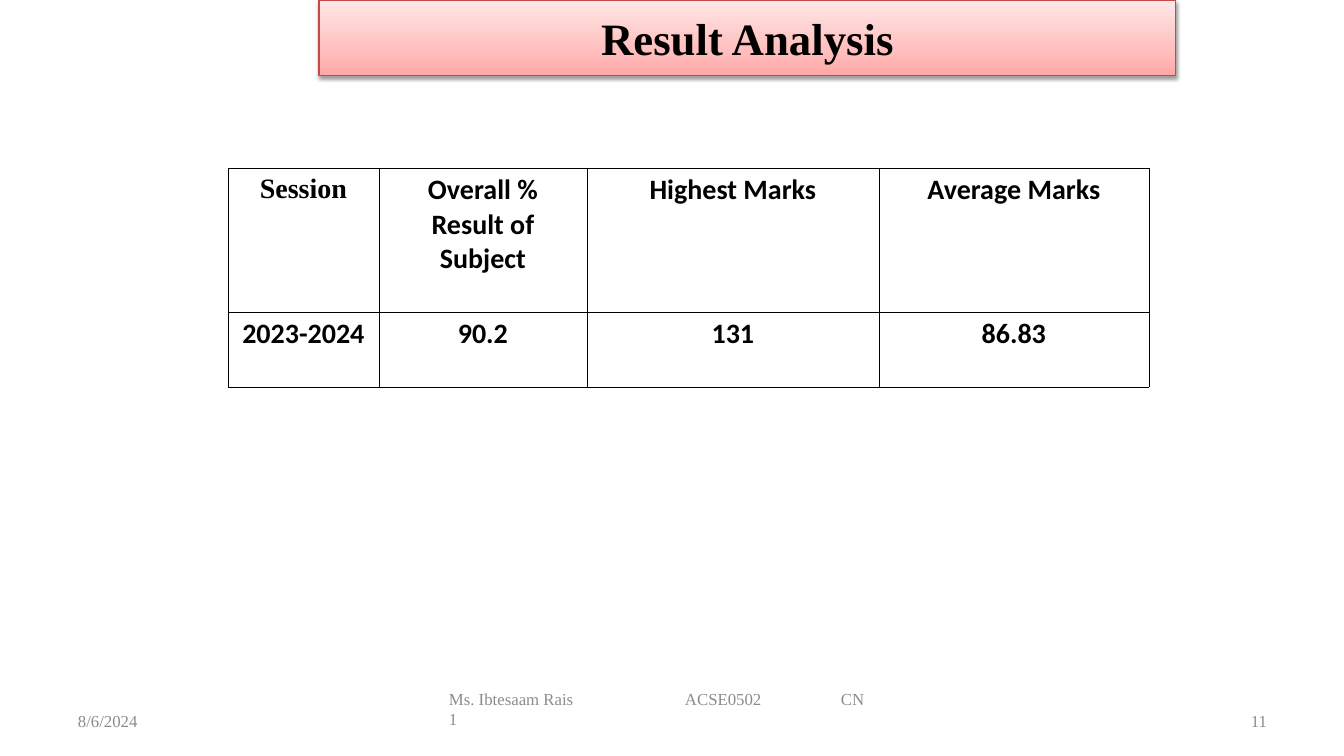
"""Build the result analysis slide."""
from lxml import etree
from pptx import Presentation
from pptx.dml.color import RGBColor
from pptx.enum.shapes import MSO_SHAPE
from pptx.enum.text import MSO_ANCHOR, PP_ALIGN
from pptx.oxml.ns import qn
from pptx.util import Emu, Pt

RECT = MSO_SHAPE.RECTANGLE
MIDDLE = MSO_ANCHOR.MIDDLE
LEFT, CENTER, RIGHT = PP_ALIGN.LEFT, PP_ALIGN.CENTER, PP_ALIGN.RIGHT
SCALE = 914400 / 100.8
SERIF, SANS = "Times New Roman", "Calibri"
COLORS = {"ink": "000000", "grey": "8C8C8C", "edge": "BF4C48",
          "deep": "FFA6A5", "mid": "FFC0BF", "pale": "FFE7E7"}
STOPS = [(0, "deep"), (35, "mid"), (100, "pale")]
ROWS = [["Session", "Overall % Result of Subject", "Highest Marks", "Average Marks"],
        ["2023-2024", "90.2", "131", "86.83"]]
WIDTHS = [151, 208, 292, 270]
HEIGHTS = [144, 75]
FOOT = ["Ms. Ibtesaam Rais", "ACSE0502", "CN", "1"]
TABS = [236, 392, 516]


def px(n):
    """Turn pixels into EMU."""
    return Emu(round(n * SCALE))


def rgb(name):
    """Look up a colour by name."""
    return RGBColor.from_string(COLORS[name])


def node(parent, tag, **attrs):
    """Append an XML element with the given attributes."""
    return etree.SubElement(parent, qn(tag), {k: str(v) for k, v in attrs.items()})


def write(para, text, size, color, face=SERIF, bold=False, align=LEFT):
    """Add one styled run to a paragraph."""
    para.alignment = align
    run = para.add_run()
    run.text = text
    font = run.font
    font.name, font.size, font.bold = face, Pt(size), bold
    font.color.rgb = rgb(color)


def note(slide, box, text, align=LEFT):
    """Place a small grey text and return its frame."""
    frame = slide.shapes.add_textbox(*map(px, box)).text_frame
    frame.word_wrap = True
    frame.vertical_anchor = MIDDLE
    write(frame.paragraphs[0], text, 12, "grey", align=align)
    return frame


def banner(slide, box):
    """Draw the shaded title bar."""
    bar = slide.shapes.add_shape(RECT, *map(px, box))
    bar.fill.gradient()
    bar.fill.gradient_angle = 90
    props = bar.element.spPr
    stops = props.find(qn("a:gradFill")).find(qn("a:gsLst"))
    for old in list(stops):
        stops.remove(old)
    for pos, name in STOPS:
        node(node(stops, "a:gs", pos=pos * 1000), "a:srgbClr", val=COLORS[name])
    bar.line.color.rgb = rgb("edge")
    bar.line.width = Pt(0.75)
    bar.shadow.inherit = False
    shade = node(props.find(qn("a:effectLst")), "a:outerShdw", blurRad=Pt(3.1),
                 dist=Pt(1.6), dir=5400000, rotWithShape=0)
    node(node(shade, "a:srgbClr", val=COLORS["ink"]), "a:alpha", val=38000)
    bar.text_frame.vertical_anchor = MIDDLE
    write(bar.text_frame.paragraphs[0], "Result Analysis", 32, "ink",
          bold=True, align=CENTER)


def border(cell):
    """Give a cell thin lines on all sides and no fill."""
    props = cell._tc.get_or_add_tcPr()
    for side in ("L", "R", "T", "B"):
        line = node(props, f"a:ln{side}", w=Pt(0.5))
        node(node(line, "a:solidFill"), "a:srgbClr", val=COLORS["ink"])
    cell.fill.background()


def marks(slide, left, top):
    """Draw the table of results."""
    box = (left, top, sum(WIDTHS), sum(HEIGHTS))
    table = slide.shapes.add_table(len(ROWS), len(WIDTHS), *map(px, box)).table
    table.first_row = table.horz_banding = False
    for col, width in zip(table.columns, WIDTHS):
        col.width = px(width)
    for row, height, texts in zip(table.rows, HEIGHTS, ROWS):
        row.height = px(height)
        for cell, text in zip(row.cells, texts):
            border(cell)
            face = SERIF if text == "Session" else SANS
            write(cell.text_frame.paragraphs[0], text, 20, "ink", face, True, CENTER)


def footer(slide, left, top, width):
    """Place the date, course line and page number."""
    note(slide, (left, top, 313, 40), "8/6/2024")
    note(slide, (left + width - 313, top, 313, 40), "11", RIGHT)
    frame = note(slide, (left + 352, top - 12, 554, 40), "\t".join(FOOT))
    frame.margin_left = px(29)
    tabs = node(frame.paragraphs[0]._p.get_or_add_pPr(), "a:tabLst")
    for stop in TABS:
        node(tabs, "a:tab", pos=px(stop), algn="l")


def main():
    """Build and save the deck."""
    deck = Presentation()
    deck.slide_width, deck.slide_height = px(1344), px(756)
    slide = deck.slides.add_slide(deck.slide_layouts[6])
    banner(slide, (319, 0, 857, 76))
    marks(slide, 228, 168)
    footer(slide, 68, 701, 1209)
    deck.save("out.pptx")


if __name__ == "__main__":
    main()
